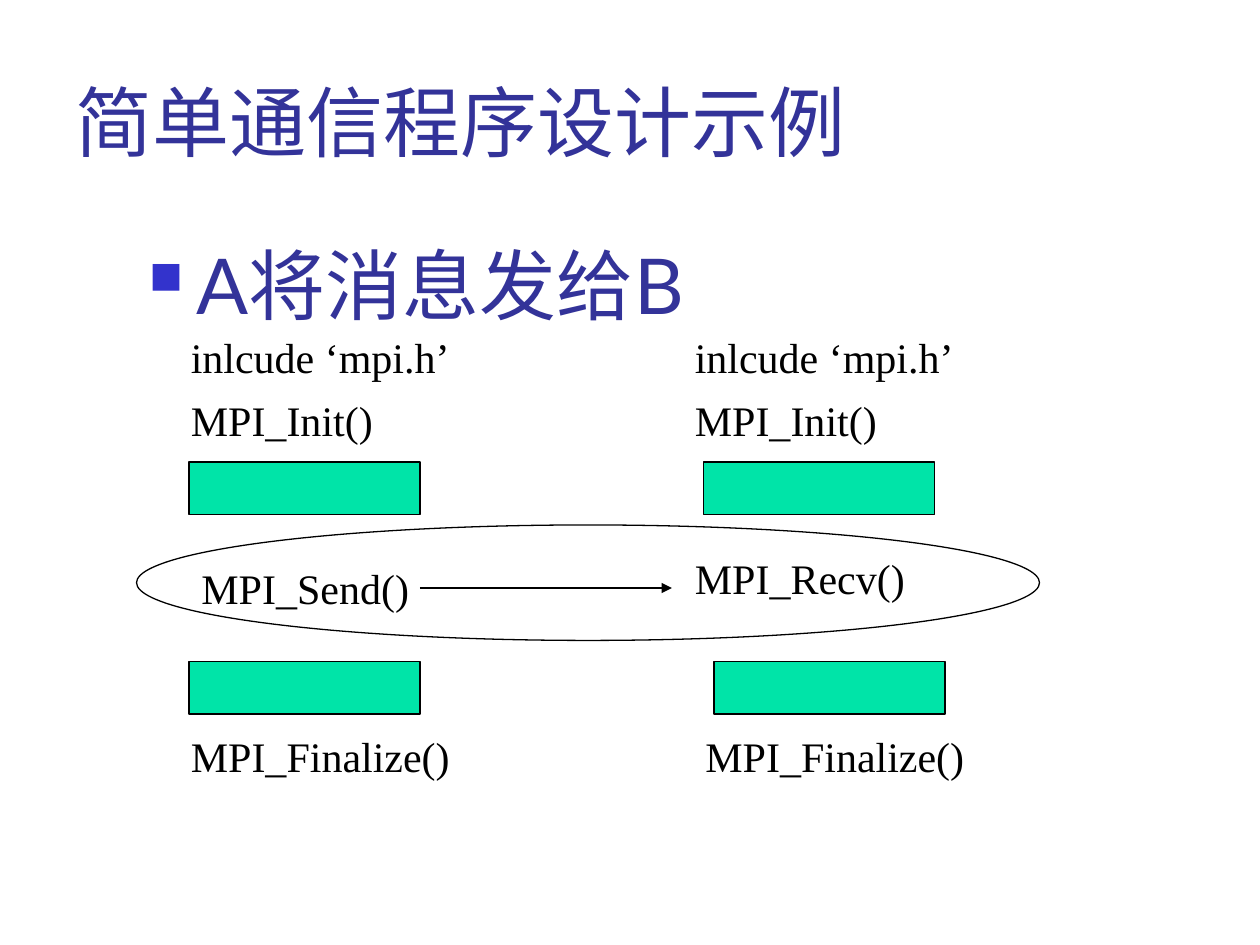
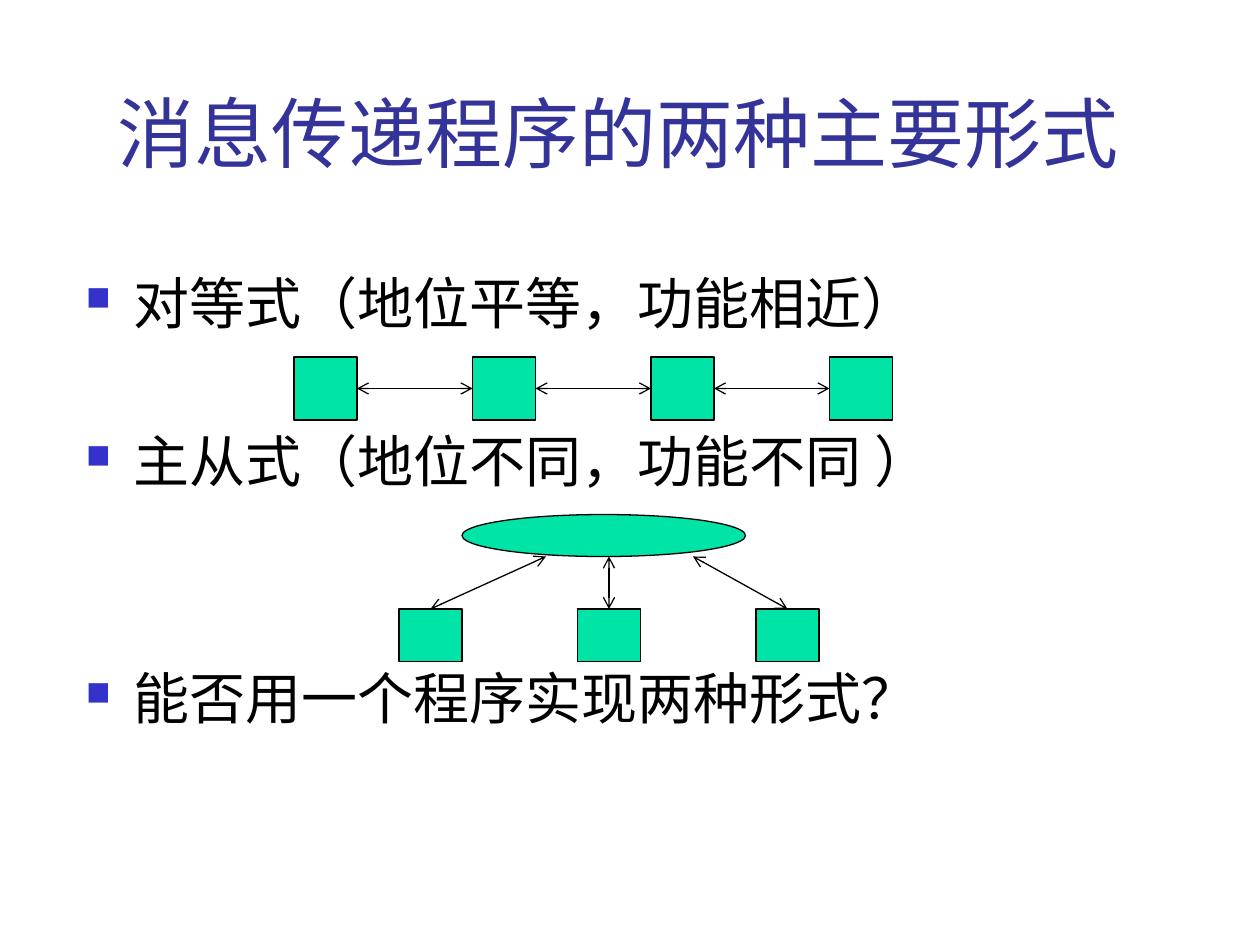
import pptx
import pptx.dml.color
import pptx.enum.shapes
import pptx.enum.text
import pptx.oxml.ns
import pptx.util
from dataclasses import dataclass
from itertools import pairwise
from lxml import etree

COLORS = {"title": "333399", "bullet": "3333CC", "ink": "000000", "block": "00E4A8"}
SANS, SERIF = "Lato", "Times New Roman"
SHAPES = pptx.enum.shapes.MSO_SHAPE
COLUMNS, ROWS = 120, 90  # grid of the slide, twelve cells to the inch

deck = pptx.Presentation()
deck.slide_width = pptx.util.Inches(10)
deck.slide_height = pptx.util.Inches(7.5)


@dataclass(frozen=True)
class Area:
    """A rectangle in grid columns and rows."""
    column: float
    row: float
    width: float
    height: float

    def lengths(self) -> tuple[int, int, int, int]:
        return (across(self.column), down(self.row),
                across(self.width), down(self.height))


@dataclass(frozen=True)
class Style:
    size: int
    color: str
    font: str = SANS
    space_percent: int = 0
    bullet: bool = False


TITLE = Style(44, "title")
HEADING = Style(44, "title", space_percent=20, bullet=True)
BODY = Style(32, "ink", space_percent=20, bullet=True)
CODE = Style(24, "ink", SERIF, space_percent=50)


def across(columns: float) -> int:
    return round(deck.slide_width * columns / COLUMNS)


def down(rows: float) -> int:
    return round(deck.slide_height * rows / ROWS)


def rgb(name: str) -> pptx.dml.color.RGBColor:
    return pptx.dml.color.RGBColor.from_string(COLORS[name])


def add_child(parent, tag: str, **attributes: str):
    return etree.SubElement(parent, pptx.oxml.ns.qn(tag), attributes)


def format_paragraph(para, style: Style) -> None:
    properties = para._p.get_or_add_pPr()
    if style.space_percent:
        spacing = add_child(properties, "a:spcBef")
        add_child(spacing, "a:spcPct", val=str(style.space_percent * 1000))
    if style.bullet:
        indent = pptx.util.Inches(0.38)
        properties.set("marL", str(indent))
        properties.set("indent", str(-indent))
        color = add_child(properties, "a:buClr")
        add_child(color, "a:srgbClr", val=COLORS["bullet"])
        add_child(properties, "a:buSzPct", val="60000")
        add_child(properties, "a:buChar", char="■")
    para.font.size = pptx.util.Pt(style.size)
    para.font.name = style.font
    para.font.color.rgb = rgb(style.color)


def add_text(page, area: Area, style: Style, *lines: str):
    box = page.shapes.add_textbox(*area.lengths())
    frame = box.text_frame
    frame.word_wrap = True
    frame.text = "\n".join(lines)
    for para in frame.paragraphs:
        format_paragraph(para, style)
    return frame


def add_title(page, area: Area, text: str) -> None:
    frame = add_text(page, area, TITLE, text)
    frame.vertical_anchor = pptx.enum.text.MSO_ANCHOR.MIDDLE


def add_code(page, area: Area, text: str) -> None:
    frame = add_text(page, area, CODE, text)
    frame.auto_size = pptx.enum.text.MSO_AUTO_SIZE.SHAPE_TO_FIT_TEXT


def add_block(page, area: Area, kind=SHAPES.RECTANGLE, filled: bool = True) -> None:
    shape = page.shapes.add_shape(kind, *area.lengths())
    shape.shadow.inherit = False
    if filled:
        shape.fill.solid()
        shape.fill.fore_color.rgb = rgb("block")
    else:
        shape.fill.background()
    shape.line.color.rgb = rgb("ink")
    shape.line.width = pptx.util.Pt(0.75)


def add_arrow(page, start: tuple[float, float], end: tuple[float, float],
              head: str = "arrow", tail: str = "arrow") -> None:
    line = page.shapes.add_connector(
        pptx.enum.shapes.MSO_CONNECTOR.STRAIGHT,
        across(start[0]), down(start[1]), across(end[0]), down(end[1]))
    line.line.color.rgb = rgb("ink")
    line.line.width = pptx.util.Pt(0.75)
    outline = line.line._get_or_add_ln()
    add_child(outline, "a:headEnd", type=head)
    add_child(outline, "a:tailEnd", type=tail)
    add_child(line._element.spPr, "a:effectLst")


def add_page():
    return deck.slides.add_slide(deck.slide_layouts[6])


# Slide 1: process A sends a message to process B
page = add_page()
add_title(page, Area(6, 5, 102, 13), "简单通信程序设计示例")
add_text(page, Area(13, 22, 87, 11), HEADING, "A将消息发给B")

for column in (17, 65):
    add_code(page, Area(column, 31, 29, 6), "inlcude ‘mpi.h’")
    add_code(page, Area(column, 37, 29, 6), "MPI_Init()")
for column, row in ((18, 44), (67, 44), (18, 63), (68, 63)):
    add_block(page, Area(column, row, 22, 5))
add_code(page, Area(18, 53, 26, 6), "MPI_Send()")
add_code(page, Area(65, 52, 32, 6), "MPI_Recv()")
for column in (17, 66):
    add_code(page, Area(column, 69, 37, 6), "MPI_Finalize()")

add_arrow(page, (40, 56), (64, 56), head="none", tail="triangle")
add_block(page, Area(13, 50, 86, 11), SHAPES.OVAL, filled=False)

# Slide 2: peer and master-worker forms
page = add_page()
add_title(page, Area(10, 5, 102, 15), "消息传递程序的两种主要形式")
body = add_text(page, Area(7, 25, 102, 32), BODY,
                "对等式（地位平等，功能相近）",
                "主从式（地位不同，功能不同 ）",
                "能否用一个程序实现两种形式？")
# Room for the diagrams, in text lines of 45 points
for para, free_lines in zip(body.paragraphs[1:], (1, 2)):
    para.space_before = pptx.util.Pt(7 + 45 * free_lines)

# Workers below their master
PITCH, SIDE = 17, 6
for index in range(3):
    add_block(page, Area(38 + PITCH * index, 58, SIDE, 5))
add_block(page, Area(44, 49, 27, 4), SHAPES.OVAL)
for index, master_column in enumerate((52, 58, 66)):
    add_arrow(page, (master_column, 53), (41 + PITCH * index, 58))

# Chain of peers
peers = [28 + PITCH * index for index in range(4)]
for column in peers:
    add_block(page, Area(column, 34, SIDE, SIDE))
for left, right in pairwise(peers):
    add_arrow(page, (left + SIDE, 37), (right, 37))

deck.save("out.pptx")
